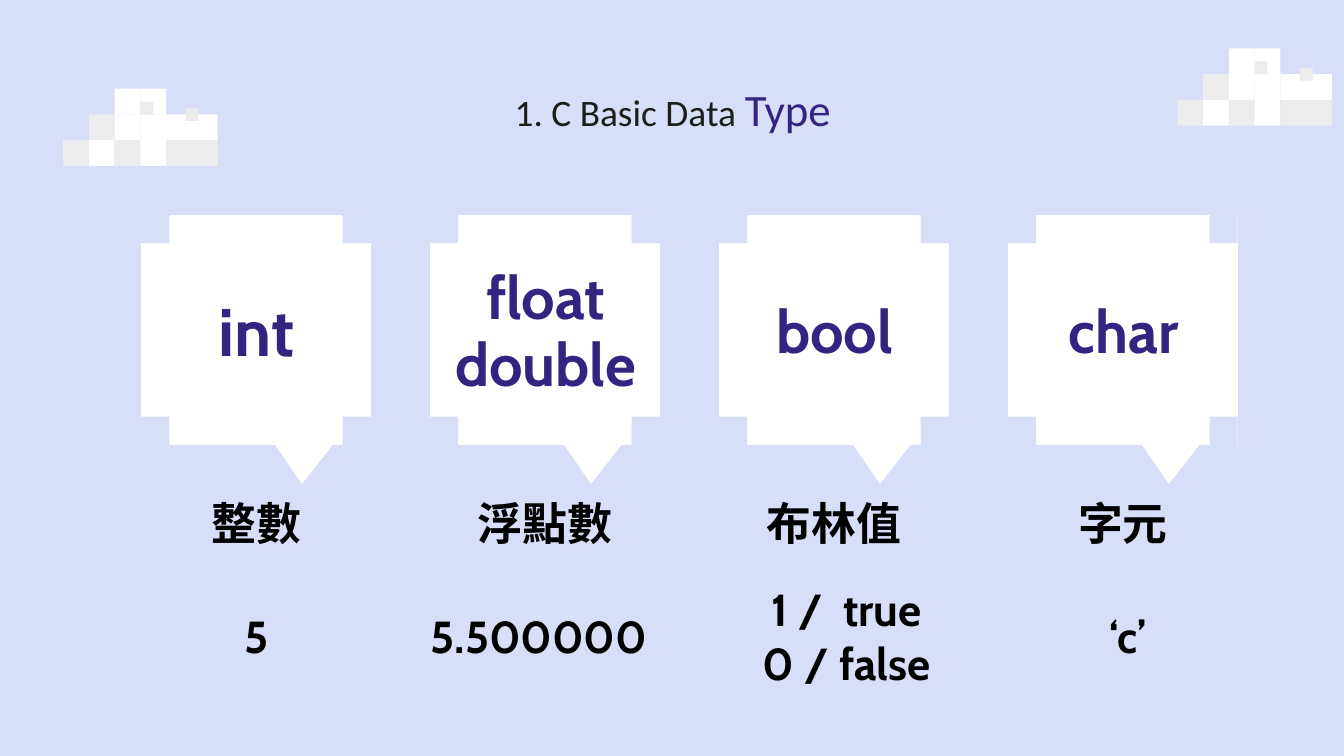
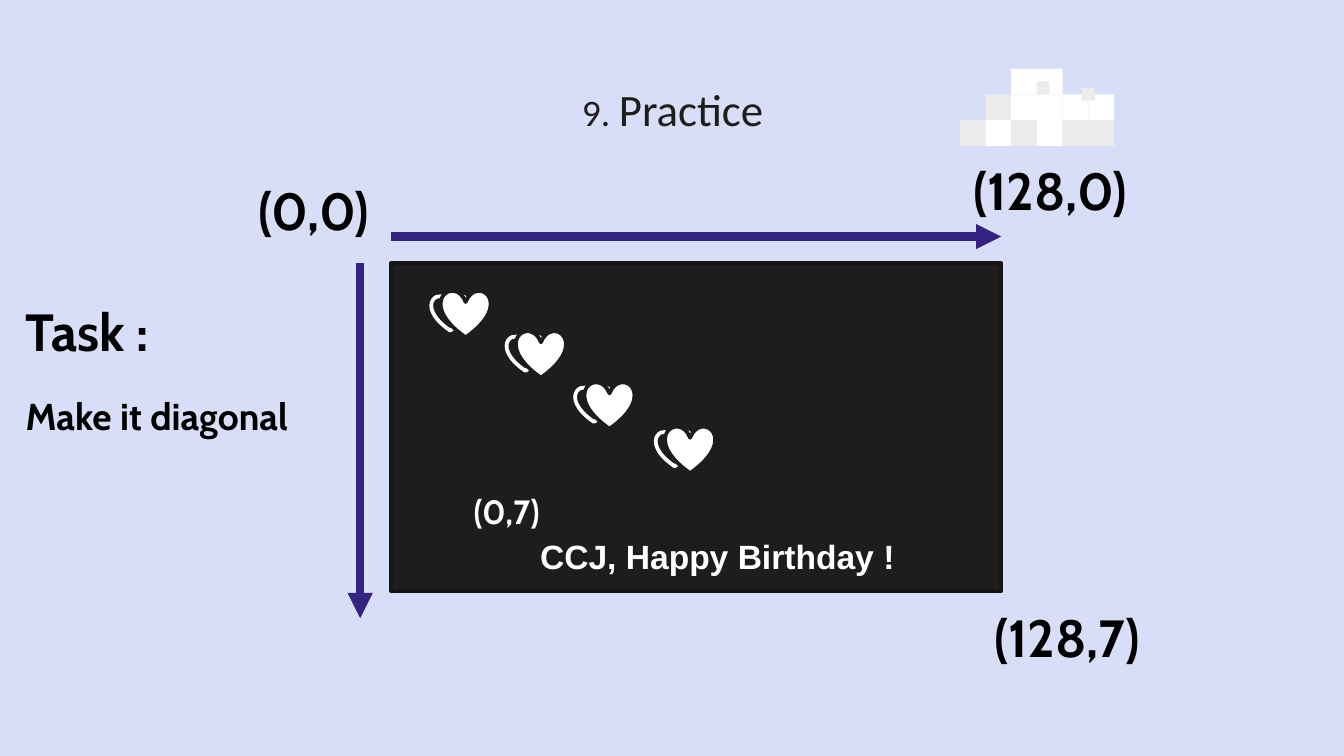
from itertools import product

from lxml.etree import SubElement
from pptx import Presentation
from pptx.dml.color import RGBColor
from pptx.enum.shapes import MSO_CONNECTOR, MSO_SHAPE as Shape
from pptx.enum.text import MSO_ANCHOR as Anchor, MSO_AUTO_SIZE as AutoSize, PP_ALIGN as Align
from pptx.oxml.ns import qn
from pptx.util import Inches, Pt

SKY, WHITE, GREY = "D9DEF8", "FFFFFF", "ECECEC"
PURPLE, INK, BLACK, EDGE = "352381", "1D1D1B", "000000", "151514"

TITLE_BOX = (0.79, 0.49, 8.43, 0.63)
BASIC_TITLE = [("1. C Basic Data ", 20, INK), ("Type", 24, PURPLE)]
PRACTICE_TITLE = [("9. ", 20, INK), ("Practice", 24, INK)]

CLOUD_ROWS = ["..WW..", ".GWWWW", "GWGWGG"]
CLOUD_SPECKS = [(3, 0.5), (4.75, 0.75)]
CLOUD_CELL = 1.15 / 6
CLOUD_COLOURS = {"W": WHITE, "G": GREY}
BASIC_CLOUDS = [(0.47, 0.66), (8.76, 0.36)]
PRACTICE_CLOUD = (7.14, 0.51)

DATA_TYPES = [
    {"names": ["int"], "size": 36, "meaning": "整數", "sample": ["5"], "shift": 0},
    {"names": ["float", "double"], "size": 32, "meaning": "浮點數", "sample": ["5.500000"], "shift": -0.05},
    {"names": ["bool"], "size": 32, "meaning": "布林值", "sample": ["1 /  true", "0 / false"], "shift": 0.09},
    {"names": ["char"], "size": 32, "meaning": "字元", "sample": ["‘c’"], "shift": 0.03},
]
BUBBLE_LEFT, BUBBLE_TOP, BUBBLE_PITCH = 1.05, 1.6, 2.15
BUBBLE_SIDE, NOTCH = 1.71, 0.21

SCREEN = (2.91, 1.96, 4.54, 2.44)
AXES = [((7.45, 1.76), (2.91, 1.76)), ((2.68, 4.6), (2.68, 1.96))]
PRACTICE_LABELS = [
    ("(0,0)", (1.76, 1.31, 1.15, 0.5), 28, BLACK, Align.CENTER),
    ("(128,0)", (7.14, 1.16, 1.35, 0.5), 28, BLACK, Align.CENTER),
    ("(128,7)", (7.19, 4.49, 1.5, 0.5), 28, BLACK, Align.CENTER),
    ("Make it diagonal", (0.19, 2.84, 2.37, 0.5), 20, BLACK, Align.LEFT),
    ("Task :", (0.19, 2.21, 2.37, 0.5), 28, BLACK, Align.LEFT),
    ("(0,7)", (3.34, 3.6, 0.86, 0.4), 18, WHITE, Align.CENTER),
]
GREETING, GREETING_BOX = "CCJ, Happy Birthday !", (3.92, 3.94, 3.8, 0.4)
HEARTS = [(3.21, 2.2), (3.77, 2.5), (4.28, 2.88), (4.88, 3.21)]

FLUSH = {"margin_left": 0, "margin_top": 0, "margin_right": 0, "margin_bottom": 0,
         "vertical_anchor": Anchor.MIDDLE, "word_wrap": True, "auto_size": AutoSize.NONE}
GROWING = {"word_wrap": True, "auto_size": AutoSize.SHAPE_TO_FIT_TEXT}


def rgb(colour):
    return RGBColor.from_string(colour)


def apply(target, formats):
    for key, value in formats.items():
        setattr(target, key, value)


def style_font(font, name, size, colour, bold):
    apply(font, {"name": name, "size": Pt(size), "bold": bold})
    font.color.rgb = rgb(colour)


def add_block(shapes, kind, box, fill, line=None, weight=2):
    block = shapes.add_shape(kind, *map(Inches, box))
    block.shadow.inherit = False
    block.fill.solid()
    block.fill.fore_color.rgb = rgb(fill)
    if line:
        block.line.color.rgb = rgb(line)
        block.line.width = Pt(weight)
    else:
        block.line.fill.background()
    return block


def add_label(slide, lines, box, size, colour, align=Align.CENTER, font="Cabin", frame_format=FLUSH):
    frame = slide.shapes.add_textbox(*map(Inches, box)).text_frame
    apply(frame, frame_format)
    frame.text = "\n".join(lines)
    for paragraph in frame.paragraphs:
        paragraph.alignment = align
        style_font(paragraph.runs[0].font, font, size, colour, True)


def add_titled_slide(prs, title_parts):
    slide = prs.slides.add_slide(prs.slide_layouts[5])
    title = slide.shapes.title
    apply(title, dict(zip(("left", "top", "width", "height"), map(Inches, TITLE_BOX))))
    apply(title.text_frame, FLUSH)
    paragraph = title.text_frame.paragraphs[0]
    paragraph.alignment = Align.CENTER
    for text, size, colour in title_parts:
        run = paragraph.add_run()
        run.text = text
        style_font(run.font, "Calibri", size, colour, False)
    return slide


def add_cloud(slide, left, top):
    cloud = slide.shapes.add_group_shape().shapes
    cells = [(col, row, 1, CLOUD_COLOURS[mark]) for row, marks in enumerate(CLOUD_ROWS)
             for col, mark in enumerate(marks) if mark in CLOUD_COLOURS]
    cells += [(col, row, 0.5, GREY) for col, row in CLOUD_SPECKS]
    for col, row, scale, colour in cells:
        side = CLOUD_CELL * scale
        add_block(cloud, Shape.RECTANGLE,
                  (left + col * CLOUD_CELL, top + row * CLOUD_CELL, side, side), colour)


def add_bubble(slide, left):
    bubble = slide.shapes.add_group_shape().shapes
    callout = add_block(bubble, Shape.RECTANGULAR_CALLOUT,
                        (left, BUBBLE_TOP, BUBBLE_SIDE, BUBBLE_SIDE), WHITE)
    callout.rotation = 270
    callout.adjustments[0], callout.adjustments[1] = -0.67, 0.2
    for dx, dy in product((BUBBLE_SIDE - NOTCH, 0), (0, BUBBLE_SIDE - NOTCH)):
        add_block(bubble, Shape.RECTANGLE, (left + dx, BUBBLE_TOP + dy, NOTCH, NOTCH), SKY)


def add_axis(slide, tip, start):
    axis = slide.shapes.add_connector(MSO_CONNECTOR.STRAIGHT, *map(Inches, tip + start))
    axis.line.color.rgb = rgb(PURPLE)
    axis.line.width = Pt(4.5)
    SubElement(axis.line._get_or_add_ln(), qn("a:headEnd"), type="triangle")
    SubElement(axis._element.spPr, qn("a:effectLst"))


def build_data_types(prs):
    slide = add_titled_slide(prs, BASIC_TITLE)
    for index, entry in enumerate(DATA_TYPES):
        left = BUBBLE_LEFT + index * BUBBLE_PITCH
        centre = left + BUBBLE_SIDE / 2
        add_bubble(slide, left)
        first_top = 2.2 - 0.25 * (len(entry["names"]) - 1)
        for row, name in enumerate(entry["names"]):
            add_label(slide, [name], (centre - 0.9, first_top + row * 0.5, 1.81, 0.5), entry["size"], PURPLE)
        add_label(slide, [entry["meaning"]], (centre - 0.57, 3.64, 1.14, 0.5), 24, BLACK)
        add_label(slide, entry["sample"], (centre + entry["shift"] - 0.85, 4.48, 1.71, 0.5), 24, BLACK)
    for corner in BASIC_CLOUDS:
        add_cloud(slide, *corner)


def build_practice(prs):
    slide = add_titled_slide(prs, PRACTICE_TITLE)
    add_cloud(slide, *PRACTICE_CLOUD)
    add_block(slide.shapes, Shape.RECTANGLE, SCREEN, INK, EDGE)
    for tip, start in AXES:
        add_axis(slide, tip, start)
    for text, box, size, colour, align in PRACTICE_LABELS:
        add_label(slide, [text], box, size, colour, align)
    add_label(slide, [GREETING], GREETING_BOX, 18, WHITE, Align.LEFT, "Arial", GROWING)
    for left, top in HEARTS:
        add_block(slide.shapes, Shape.HEART, (left, top, 0.28, 0.26), INK, WHITE)
        add_block(slide.shapes, Shape.HEART, (left + 0.07, top - 0.04, 0.37, 0.35), WHITE, INK)


def main():
    prs = Presentation()
    prs.slide_width, prs.slide_height = Inches(10), Inches(10) * 9 // 16
    backdrop = prs.slide_master.background.fill
    backdrop.solid()
    backdrop.fore_color.rgb = rgb(SKY)
    build_data_types(prs)
    build_practice(prs)
    prs.save("out.pptx")


if __name__ == "__main__":
    main()
